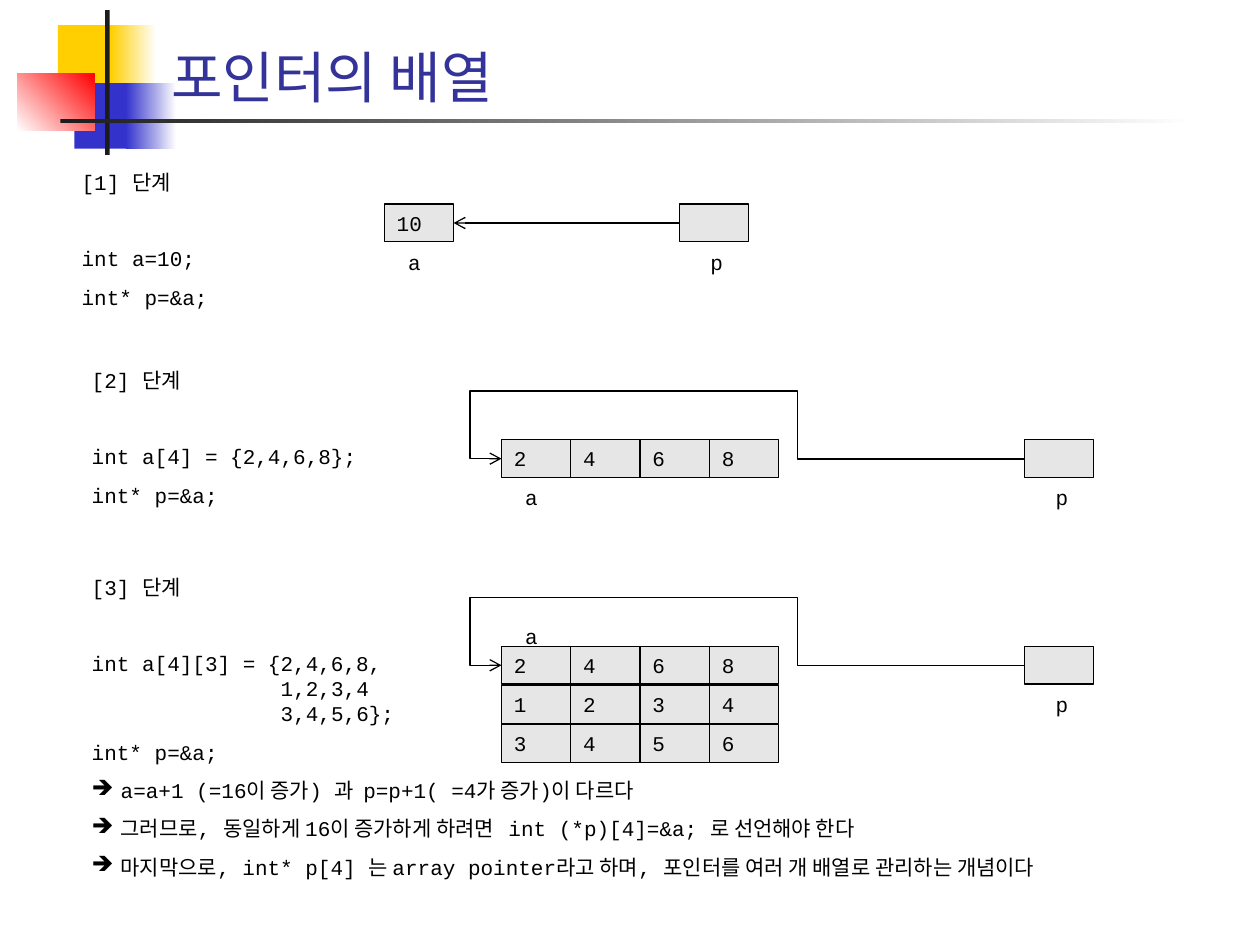
import pptx
import pptx.util
import pptx.dml.color
import pptx.enum.shapes
import pptx.enum.text
import pptx.oxml
import pptx.oxml.ns
import lxml.etree

RGB = pptx.dml.color.RGBColor
WHITE, BLACK, DARK = RGB(255, 255, 255), RGB(0, 0, 0), RGB(0x1C, 0x1C, 0x1C)
GOLD, BLUE, RED = RGB(0xFF, 0xCF, 0x01), RGB(0x33, 0x33, 0xCC), RGB(255, 0, 0)
NAVY, GREY = RGB(0x33, 0x33, 0x99), RGB(0xE6, 0xE6, 0xE6)
RECT = pptx.enum.shapes.MSO_SHAPE.RECTANGLE
CONNECTOR = pptx.enum.shapes.MSO_CONNECTOR
ANCHOR = pptx.enum.text.MSO_ANCHOR
ALIGN = pptx.enum.text.PP_ALIGN

# The slide is a grid of 100 columns by 75 rows.
COLS, ROWS = 100, 75
CELL_W, CELL_H, ROW_STEP = 5.5, 3, 3.1
LINE_PT = 0.74
LINE_GAP, SECTION_GAP = 7.5, 29


def grid(n):
    """Length of n grid steps."""
    return pptx.util.Inches(n / 10)


def sub(parent, tag, **attrs):
    """Append a drawing element with attributes."""
    e = lxml.etree.SubElement(parent, pptx.oxml.ns.qn(tag))
    for key, value in attrs.items():
        e.set(key, str(value))
    return e


def write(tf, lines, font="Courier New", size=12, color=BLACK, gap=LINE_GAP,
          anchor=ANCHOR.TOP, wrap=True):
    """Fill a frame with paragraphs; return the paragraphs."""
    tf.word_wrap, tf.vertical_anchor = wrap, anchor
    for i, line in enumerate(lines):
        p = tf.paragraphs[0] if i == 0 else tf.add_paragraph()
        p.text, p.alignment = line, ALIGN.LEFT
        p.space_before = pptx.util.Pt(gap)
        for r in p.runs:
            r.font.name, r.font.size = font, pptx.util.Pt(size)
            r.font.color.rgb = color
    return tf.paragraphs


def textbox(s, x, y, w, h, lines, **fmt):
    """Add a text box; return its paragraphs."""
    sp = s.shapes.add_textbox(*map(grid, (x, y, w, h)))
    return write(sp.text_frame, lines, **fmt)


def rect(s, x, y, w, h, *colors, angle=0):
    """Add a plain rectangle, solid for one colour, gradient for two."""
    sp = s.shapes.add_shape(RECT, *map(grid, (x, y, w, h)))
    sp.shadow.inherit = False
    sp.line.fill.background()
    if len(colors) == 1:
        sp.fill.solid()
        sp.fill.fore_color.rgb = colors[0]
    else:
        sp.fill.gradient()
        sp.fill.gradient_angle = angle
        for stop, color in zip(sp.fill.gradient_stops, colors):
            stop.color.rgb = color
    return sp


def header(s, x, y, title):
    """Coloured blocks, rules and the title."""
    rect(s, x + 3.2, y + 1.2, 4.8, 5.2, GOLD)
    rect(s, x + 7.4, y + 1.2, 3.6, 5.2, GOLD, WHITE)
    rect(s, x + 4.5, y + 5.8, 4.6, 5.2, BLUE)
    rect(s, x + 8.6, y + 5.8, 4, 5.2, BLUE, WHITE)
    rect(s, x, y + 5, 6.1, 4.6, WHITE, RED, angle=45)
    rect(s, x + 6.95, y, 0.35, 11.5, DARK)
    rect(s, x + 3.4, y + 8.65, 90, 0.35, DARK, WHITE)
    textbox(s, x + 11.2, y + 0.9, 85.2, 7.5, [title], font="Cabin", size=32,
            color=NAVY, gap=0, anchor=ANCHOR.BOTTOM)


def cell(s, x, y, value=""):
    """One memory cell."""
    sp = rect(s, x, y, CELL_W, CELL_H, GREY)
    sp.line.color.rgb, sp.line.width = BLACK, pptx.util.Pt(LINE_PT)
    if value:
        write(sp.text_frame, [value])


def label(s, x, y, name):
    """Variable name next to a cell."""
    textbox(s, x, y, 3, 3, [name], wrap=False)


def style_arrow(c):
    """Thin black line with an open head at its end."""
    c.line.color.rgb, c.line.width = BLACK, pptx.util.Pt(LINE_PT)
    sub(c.line._get_or_add_ln(), "a:tailEnd", type="arrow")
    sub(c._element.spPr, "a:effectLst")


def straight_arrow(s, x1, x2, y):
    """Horizontal arrow from x1 to x2."""
    style_arrow(s.shapes.add_connector(
        CONNECTOR.STRAIGHT, grid(x1), grid(y), grid(x2), grid(y)))


def loop_arrow(s, x1, x2, y, rise=5.4, turn=18, overshoot=2.5):
    """Arrow from x1 that climbs over the cells and enters x2 from the left."""
    height, width = pptx.util.Pt(0.17), x1 - x2
    c = s.shapes.add_connector(CONNECTOR.ELBOW, grid(x2), grid(y),
                               grid(x1), grid(y) + height)
    spPr = c._element.spPr
    spPr.find(pptx.oxml.ns.qn("a:xfrm")).set("rot", "10800000")
    geom = spPr.find(pptx.oxml.ns.qn("a:prstGeom"))
    geom.set("prst", "bentConnector5")
    av = geom.find(pptx.oxml.ns.qn("a:avLst"))
    if av is None:
        av = sub(geom, "a:avLst")
    shares = (turn / width, grid(rise) / height, 1 + overshoot / width)
    for i, share in enumerate(shares, 1):
        sub(av, "a:gd", name=f"adj{i}", fmla=f"val {round(share * 100000)}")
    style_arrow(c)


def code(s, x, y, h, lines, notes=()):
    """Step heading with its code, then arrow-bulleted notes."""
    ps = textbox(s, x, y, 88.3, h, [*lines, *notes])
    ps[1].space_before = pptx.util.Pt(SECTION_GAP)
    for p in ps[1:len(lines)]:
        tabs = sub(p._p.get_or_add_pPr(), "a:tabLst")
        sub(tabs, "a:tab", pos=grid(15), algn="l")
    for p in ps[len(lines):]:
        pPr = p._p.get_or_add_pPr()
        pPr.set("marL", str(grid(2.3)))
        pPr.set("indent", str(-grid(2.3)))
        sub(pPr, "a:buChar", char="➔")


def memory(s, x, y, rows, pointer_dx, label_dy=ROW_STEP):
    """Rows of cells named a, and the pointer cell p that refers to them."""
    label(s, x + 0.9, y + label_dy, "a")
    for i, row in enumerate(rows):
        for j, value in enumerate(row):
            cell(s, x + j * CELL_W, y + i * ROW_STEP, value)
    px, mid = x + pointer_dx, y + CELL_H / 2
    cell(s, px, y)
    label(s, px + 1.5, y + ROW_STEP, "p")
    if len(rows[0]) == 1:
        straight_arrow(s, px, x + CELL_W, mid)
    else:
        loop_arrow(s, px, x, mid)


def build():
    """Build and save the slide."""
    prs = pptx.Presentation()
    prs.slide_width, prs.slide_height = grid(COLS), grid(ROWS)
    s = prs.slides.add_slide(prs.slide_layouts[6])
    header(s, 1.4, 0.8, "포인터의 배열")
    code(s, 5.5, 13, 12.2, ["[1] 단계", "int a=10;", "int* p=&a;"])
    memory(s, 30.5, 16.2, [["10"]], 23.4)
    code(s, 6.3, 28.7, 12.2,
         ["[2] 단계", "int a[4] = {2,4,6,8};", "int* p=&a;"])
    memory(s, 39.8, 34.9, ["2468"], 41.5)
    code(s, 6.3, 45.1, 25.3,
         ["[3] 단계", "int a[4][3] = {2,4,6,8,\v\t1,2,3,4\v\t3,4,5,6};",
          "int* p=&a;"],
         ["a=a+1 (=16이 증가) 과  p=p+1( =4가 증가)이 다르다",
          "그러므로, 동일하게 16이 증가하게 하려면   int (*p)[4]=&a; 로 선언해야 한다",
          "마지막으로, int* p[4] 는 array pointer라고 하며, "
          "포인터를 여러 개 배열로 관리하는 개념이다"])
    memory(s, 39.8, 51.3, ["2468", "1234", "3456"], 41.5, label_dy=-2.3)
    prs.save("out.pptx")


build()
